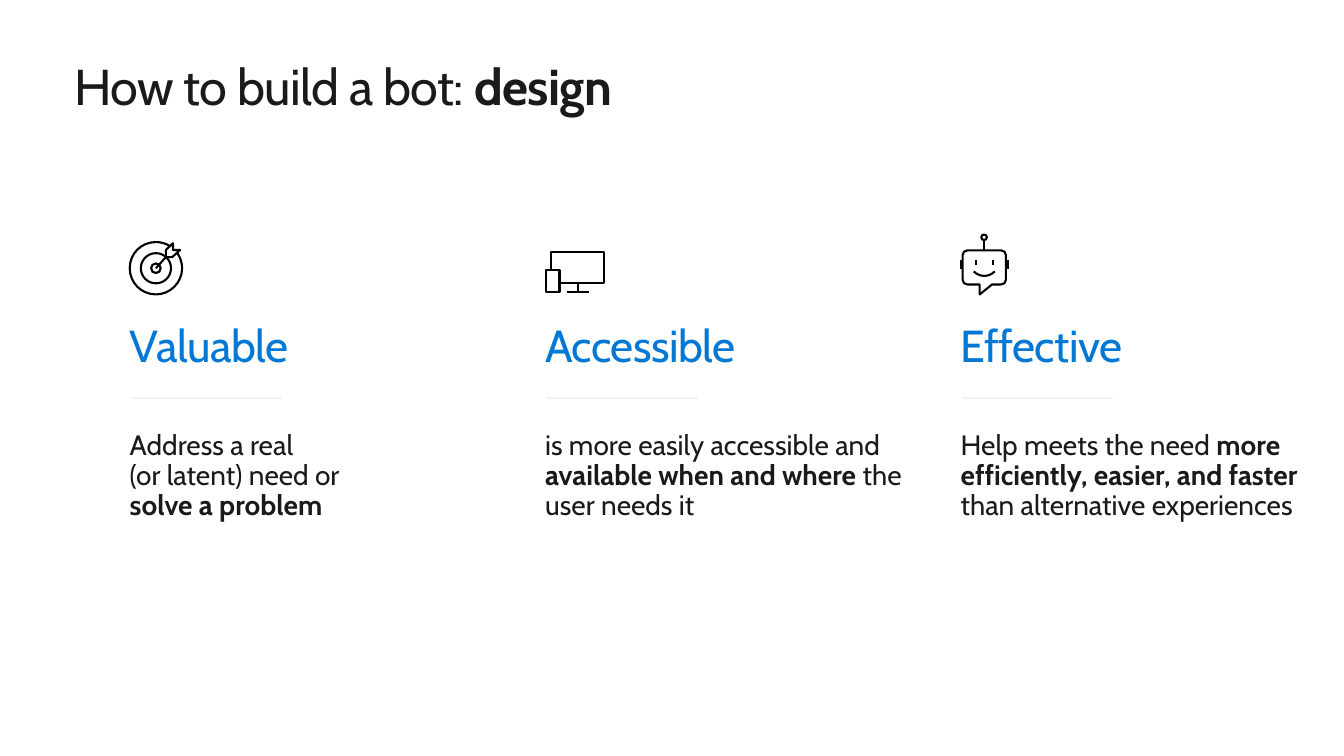
from pptx import Presentation
from pptx.dml.color import RGBColor
from pptx.enum.shapes import MSO_CONNECTOR
from pptx.enum.text import MSO_AUTO_SIZE
from pptx.oxml.ns import qn
from pptx.util import Cm, Pt
from lxml import etree

STRAIGHT = MSO_CONNECTOR.STRAIGHT
GROW = MSO_AUTO_SIZE.SHAPE_TO_FIT_TEXT
FONT = "Cabin"
COLORS = {"ink": "1A1A1A", "blue": "0078D4", "rule": "F2F2F2", "icon": "000000"}
PENS = {"M": "a:moveTo", "L": "a:lnTo", "C": "a:cubicBezTo", "Z": "a:close"}

# Column grid, in centimetres
LEFT, STEP, WIDTH = 3.27, 10.47, 9.65


def color(name):
    return RGBColor.from_string(COLORS[name])


# Icon outlines, in hundredths of a centimetre
def ring(x, y, r):
    k = round(r * 0.55)
    return (f"M {x} {y - r} C {x + k} {y - r} {x + r} {y - k} {x + r} {y} "
            f"C {x + r} {y + k} {x + k} {y + r} {x} {y + r} "
            f"C {x - k} {y + r} {x - r} {y + k} {x - r} {y} "
            f"C {x - r} {y - k} {x - k} {y - r} {x} {y - r} Z ")


TARGET = (
    "M 120 28 C 127 38 132 51 132 66 C 132 102 102 132 66 132 "
    "C 29 132 0 102 0 66 C 0 29 29 0 66 0 C 80 0 92 4 103 11 "
    + ring(66, 66, 38) + ring(66, 66, 12)
    + "M 66 66 L 91 38 "
    "M 127 20 L 109 20 L 109 3 L 91 20 L 91 38 L 107 38 Z")
SCREENS = (
    "M 33 102 L 0 102 L 0 46 L 33 46 L 33 102 "
    "M 33 79 L 146 79 L 146 0 L 11 0 L 11 46 "
    "M 79 102 L 79 79 M 107 102 L 51 102")
ROBOT = (
    "M 38 66 L 38 79 M 81 66 L 81 79 M 0 66 L 0 89 M 118 66 L 118 89 "
    "M 59 15 L 59 41 "
    "M 48 127 L 48 152 L 79 127 L 102 127 C 109 127 114 122 114 115 "
    "L 114 53 C 114 46 109 41 102 41 L 17 41 C 10 41 5 46 5 53 "
    "L 5 115 C 5 122 10 127 17 127 Z "
    + ring(59, 8, 7)
    + "M 33 94 C 48 109 71 109 86 94")


def add_icon(slide, outline, left, top, width, height):
    pen = slide.shapes.build_freeform(0, 0, scale=Cm(0.01))
    pen.add_line_segments([(width, 0), (width, height), (0, height)])
    icon = pen.convert_to_shape(Cm(left), Cm(top))
    icon.shadow.inherit = False
    icon.fill.background()
    icon.line.color.rgb = color("icon")
    icon.line.width = Pt(1.5)
    # Trace the outline with its curves
    trace = next(icon._element.iter(qn("a:path")))
    for step in list(trace):
        trace.remove(step)
    words = iter(outline.split())
    for word in words:
        if word in PENS:
            step = etree.SubElement(trace, qn(PENS[word]))
        else:
            etree.SubElement(step, qn("a:pt"), x=word, y=next(words))


def add_box(slide, left, top, width, height):
    box = slide.shapes.add_textbox(Cm(left), Cm(top), Cm(width), Cm(height))
    box.text_frame.word_wrap = True
    return box.text_frame


def write(para, parts, size, tint, track=0):
    """Fill a paragraph with (text, bold) parts in one style."""
    para.text = parts[0][0]
    styled = [(run, parts[0][1]) for run in para.runs]
    for text, bold in parts[1:]:
        run = para.add_run()
        run.text = text
        styled.append((run, bold))
    for run, bold in styled:
        run.font.name = FONT
        run.font.size = Pt(size)
        run.font.bold = bold
        run.font.color.rgb = color(tint)
        if track:
            run._r.get_or_add_rPr().set("spc", str(track))


def add_rule(slide, left, top, width):
    rule = slide.shapes.add_connector(
        STRAIGHT, Cm(left), Cm(top), Cm(left + width), Cm(top))
    rule.line.color.rgb = color("rule")
    rule.line.width = Pt(1.5)
    etree.SubElement(rule._element.spPr, qn("a:effectLst"))


def add_column(slide, left, head, body):
    frame = add_box(slide, left, 8.16, WIDTH, 5.03)
    frame.margin_left = frame.margin_right = 0
    frame.margin_top = frame.margin_bottom = 0
    frame.auto_size = GROW
    title, text = frame.paragraphs[0], frame.add_paragraph()
    write(title, [(head, False)], 32, "blue", -40)
    write(text, body, 20, "ink")
    title.line_spacing = text.line_spacing = 0.9
    text.space_before = Pt(42)


def main():
    deck = Presentation()
    deck.slide_width, deck.slide_height = Cm(33.87), Cm(19.05)
    slide = deck.slides.add_slide(deck.slide_layouts[6])
    lefts = [LEFT + i * STEP for i in range(3)]

    # Three qualities
    columns = [
        ("Valuable", [
            ("Address a real\v(or latent) need or\v", False),
            ("solve a problem", True)]),
        ("Accessible", [
            ("is more easily accessible and ", False),
            ("available when and where ", True),
            ("the user needs it", False)]),
        ("Effective", [
            ("Help meets the need ", False),
            ("more efficiently, easier, and faster ", True),
            ("than alternative experiences", False)]),
    ]
    for left, (head, body) in zip(lefts, columns):
        add_column(slide, left, head, body)

    # Title
    frame = add_box(slide, 1.63, 1.27, 30.61, 1.55)
    write(frame.paragraphs[0],
          [("How to build a bot: ", False), ("design", True)], 36, "ink", -50)

    # Rules under the headings
    for left in lefts:
        add_rule(slide, left + 0.03, 10.04, 3.81)

    # Icons above the headings
    add_icon(slide, ROBOT, 24.21, 5.9, 118, 152)
    add_icon(slide, SCREENS, 13.77, 6.34, 146, 102)
    add_icon(slide, TARGET, 3.27, 6.1, 132, 132)

    deck.save("out.pptx")


if __name__ == "__main__":
    main()
